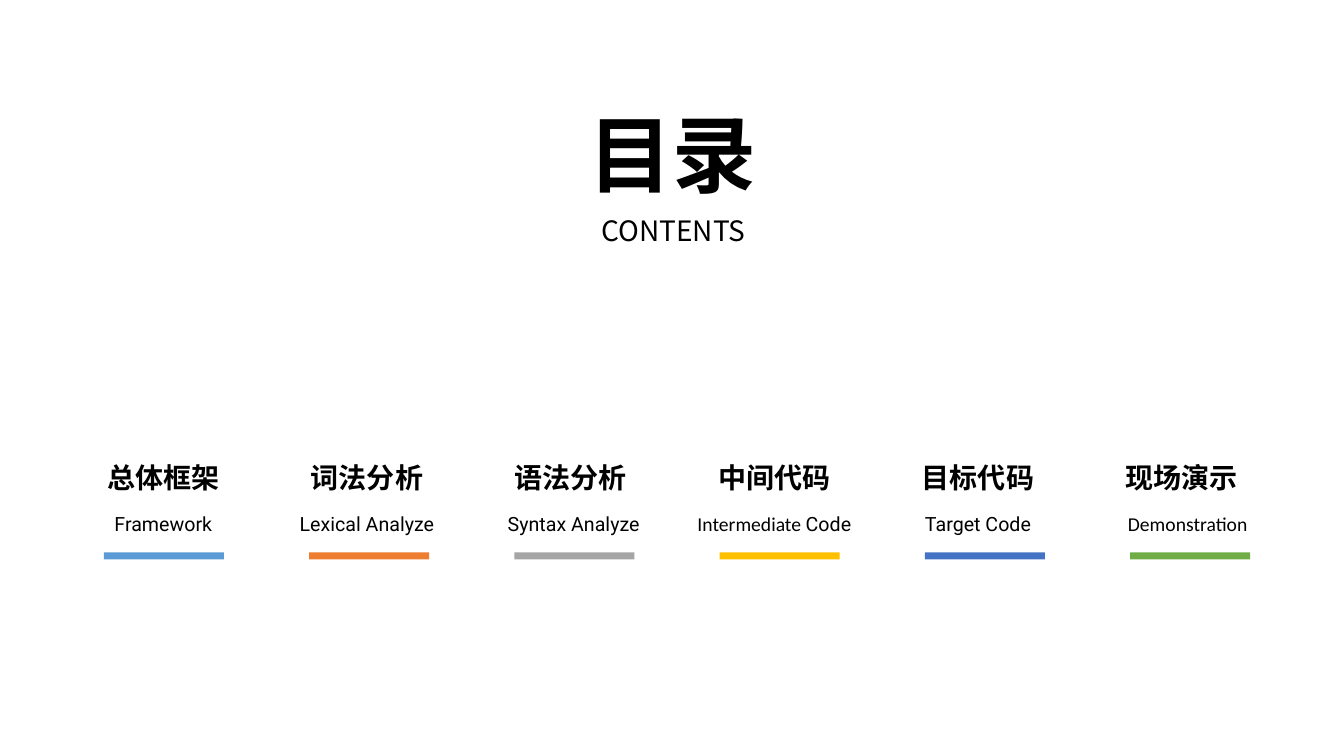
from dataclasses import dataclass

import pptx
import pptx.dml.color
import pptx.enum.shapes
import pptx.enum.text
import pptx.oxml
import pptx.oxml.ns
import pptx.util

Inches = pptx.util.Inches

COLOURS = {
    "background": "FFFFFF",
    "text": "000000",
    "blue": "5B9BD5",
    "orange": "ED7D31",
    "grey": "A5A5A5",
    "gold": "FFC000",
    "navy": "4472C4",
    "green": "70AD47",
}
CJK_FONT = "Noto Sans CJK SC"
LATIN_FONT = "Roboto"
ALTERNATE_FONT = "Calibri"

COLUMN_LEFT, COLUMN_STEP, COLUMN_WIDTH = 0.61, 2.02, 2.02
BAR_LEFT, BAR_STEP = 1.03, 2.036


@dataclass
class Run:
    text: str
    font: str = LATIN_FONT


@dataclass
class Chapter:
    heading: str
    caption: list[Run]
    colour: str
    caption_shift: float = 0


CHAPTERS = [
    Chapter("总体框架", [Run("Framework")], "blue"),
    Chapter("词法分析", [Run("Lexical Analyze")], "orange"),
    Chapter("语法分析", [Run("Syntax Analyze")], "grey", 0.03),
    Chapter("中间代码", [Run("Intermediate ", ALTERNATE_FONT), Run("Code")], "gold"),
    Chapter("目标代码", [Run("Target Code")], "navy"),
    Chapter("现场演示", [Run("Demonstration", ALTERNATE_FONT)], "green", 0.06),
]


def colour(name: str) -> pptx.dml.color.RGBColor:
    return pptx.dml.color.RGBColor.from_string(COLOURS[name])


def set_attributes(target: object, values: dict) -> None:
    for name, value in values.items():
        setattr(target, name, value)


def place(shape, left: float, top: float, width: float, height: float) -> None:
    set_attributes(shape, {
        "left": Inches(left), "top": Inches(top),
        "width": Inches(width), "height": Inches(height),
    })


def write_text(shape, runs: list[Run], size: float, bold: bool = False,
               line_spacing: float = 0.9, middle: bool = False) -> None:
    """Write one centred paragraph into a shape."""
    anchor = pptx.enum.text.MSO_ANCHOR
    set_attributes(shape.text_frame, {
        "word_wrap": True,
        "auto_size": pptx.enum.text.MSO_AUTO_SIZE.NONE,
        "vertical_anchor": anchor.MIDDLE if middle else anchor.TOP,
    })
    paragraph = shape.text_frame.paragraphs[0]
    set_attributes(paragraph, {
        "alignment": pptx.enum.text.PP_ALIGN.CENTER,
        "line_spacing": line_spacing,
        "space_before": pptx.util.Pt(10),
    })
    for item in runs:
        run = paragraph.add_run()
        run.text = item.text
        set_attributes(run.font, {
            "name": item.font, "size": pptx.util.Pt(size), "bold": bold,
        })
        run.font.color.rgb = colour("text")
        # East Asian typeface follows the Latin one
        east_asian = pptx.oxml.parse_xml(
            f'<a:ea {pptx.oxml.ns.nsdecls("a")} typeface="{CJK_FONT}"/>')
        run.font._element.find(pptx.oxml.ns.qn("a:latin")).addnext(east_asian)


def add_text(slide, left: float, top: float, width: float, height: float,
             runs: list[Run], size: float, **options) -> None:
    box = slide.shapes.add_textbox(
        Inches(left), Inches(top), Inches(width), Inches(height))
    write_text(box, runs, size, **options)


def add_chapter(slide, index: int, chapter: Chapter) -> None:
    left = COLUMN_LEFT + index * COLUMN_STEP
    add_text(slide, left, 4.56, COLUMN_WIDTH, 0.5,
             [Run(chapter.heading)], 20, bold=True)
    add_text(slide, left + chapter.caption_shift, 5.06, COLUMN_WIDTH, 0.5,
             chapter.caption, 14)

    # Coloured bar under the caption
    bar = slide.shapes.add_shape(
        pptx.enum.shapes.MSO_SHAPE.RECTANGLE,
        Inches(BAR_LEFT + index * BAR_STEP), Inches(5.48),
        Inches(1.19), Inches(0.07))
    bar.shadow.inherit = False
    bar.fill.solid()
    bar.fill.fore_color.rgb = colour(chapter.colour)
    bar.line.fill.background()


def main() -> None:
    presentation = pptx.Presentation()
    presentation.slide_width = Inches(13.33)
    presentation.slide_height = Inches(7.5)
    slide = presentation.slides.add_slide(presentation.slide_layouts[5])
    slide.background.fill.solid()
    slide.background.fill.fore_color.rgb = colour("background")

    # Title and subtitle
    title = slide.shapes.title
    place(title, 4.16, 1.12, 5.02, 0.97)
    write_text(title, [Run("目录", CJK_FONT)], 60, bold=True,
               line_spacing=0.8, middle=True)
    add_text(slide, 4.17, 2.09, 5.02, 0.44, [Run("CONTENTS", CJK_FONT)], 20,
             middle=True)

    # Six chapters in a row
    for index, chapter in enumerate(CHAPTERS):
        add_chapter(slide, index, chapter)

    presentation.save("out.pptx")


if __name__ == "__main__":
    main()
